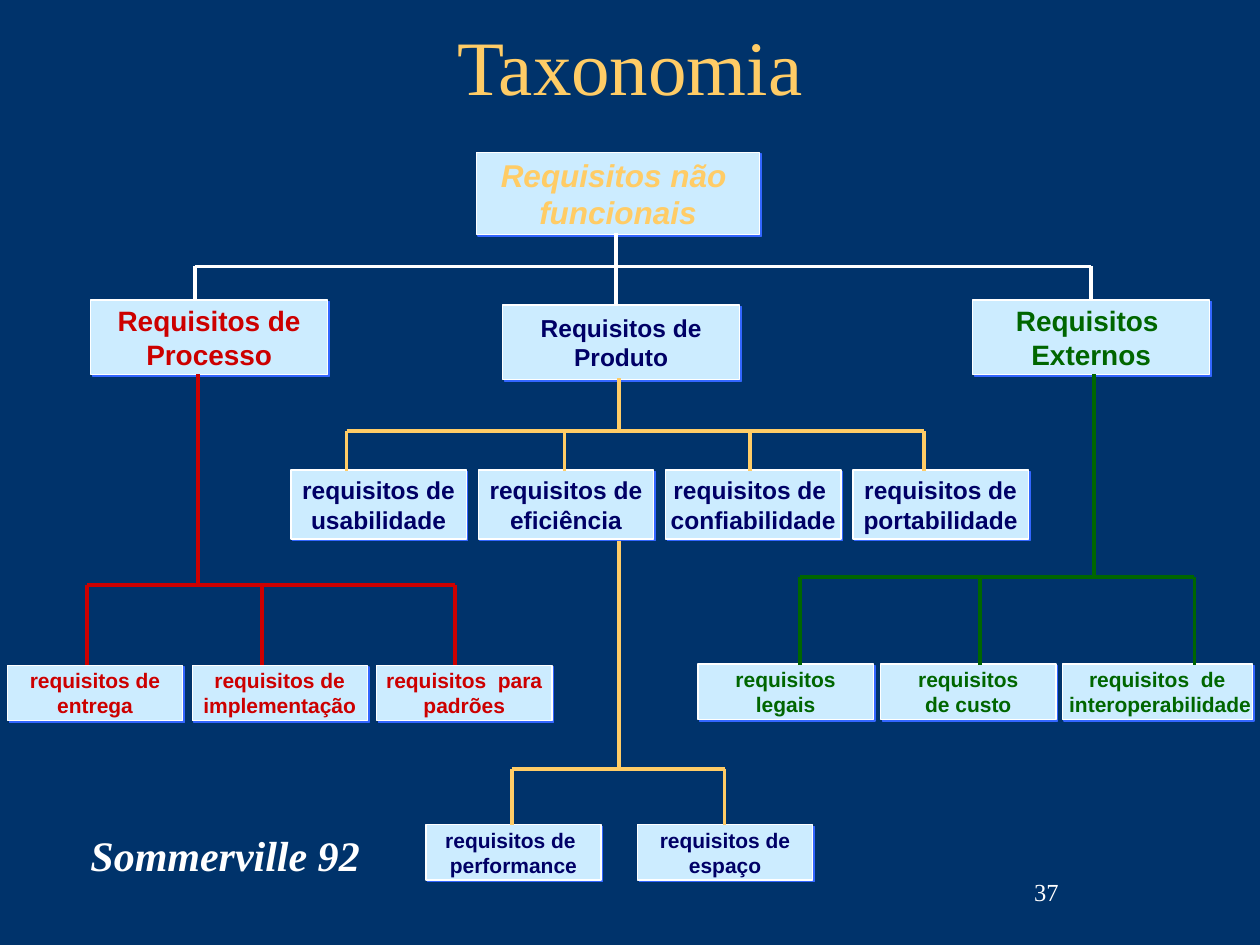
from dataclasses import dataclass

from lxml.etree import SubElement
from pptx import Presentation
from pptx.dml.color import RGBColor
from pptx.enum.shapes import MSO_CONNECTOR, MSO_SHAPE
from pptx.enum.text import MSO_ANCHOR, MSO_AUTO_SIZE, PP_ALIGN
from pptx.oxml.ns import qn
from pptx.util import Inches, Pt

# All positions and sizes are percentages of the slide's width or height
WIDTH, HEIGHT = 10, 7.5
NAVY, WHITE, GOLD = "00336B", "FFFFFF", "FFCC66"
RED, INK, GREEN = "CC0000", "000066", "006600"
BOX_FILL, BOX_SHADOW = "CCECFF", "3366FF"


@dataclass
class BoxRow:
    """Equal boxes, one for each label, placed at a constant pitch."""
    left: float
    top: float
    width: float
    height: float
    size: int
    color: str
    labels: list[str]
    pitch: float = 0
    italic: bool = False


@dataclass
class Branch:
    """A trunk, a horizontal bar and the drops to the child boxes."""
    color: str
    trunk: float
    top: float
    bar: float
    bottom: float
    drops: list[float]
    trunk_end: float | None = None


LEAF = {"width": 13.9, "height": 5.87, "size": 12}
ROWS = [
    BoxRow(37.8, 16.13, 22.5, 8.67, 18, GOLD, ["Requisitos não \nfuncionais"], italic=True),
    BoxRow(7.2, 31.73, 18.8, 7.87, 16, RED, ["Requisitos de\nProcesso"]),
    BoxRow(39.9, 32.27, 18.8, 7.87, 14, INK, ["Requisitos de\nProduto"]),
    BoxRow(77.2, 31.73, 18.8, 7.87, 16, GREEN, ["Requisitos \nExternos"]),
    BoxRow(23.1, 49.73, 13.9, 7.33, 14, INK, pitch=14.87, labels=[
        "requisitos de\nusabilidade", "requisitos de\neficiência",
        "requisitos de \nconfiabilidade", "requisitos de\nportabilidade"]),
    BoxRow(0.6, 70.4, color=RED, pitch=14.65, **LEAF, labels=[
        "requisitos de\nentrega", "requisitos de\nimplementação",
        "requisitos  para\npadrões"]),
    BoxRow(55.4, 70.27, color=GREEN, pitch=14.5, **LEAF, labels=[
        "requisitos\nlegais", "requisitos\nde custo"]),
    BoxRow(84.3, 70.27, 15.1, 5.87, 12, GREEN, ["requisitos  de\n interoperabilidade"]),
    BoxRow(33.8, 87.27, color=INK, pitch=16.8, **LEAF, labels=[
        "requisitos de \nperformance", "requisitos de\nespaço"]),
]
BRANCHES = [
    Branch(WHITE, 48.9, 24.67, 28.2, 31.73, [15.5, 86.6], trunk_end=32.27),
    Branch(GOLD, 49.1, 57.2, 81.33, 87.27, [40.6, 57.5]),
    Branch(GOLD, 49.1, 40, 45.6, 49.8, [27.5, 44.8, 59.5, 73.3]),
    Branch(RED, 15.7, 39.6, 61.87, 70.4, [6.9, 20.8, 36.1]),
    Branch(GREEN, 86.8, 39.6, 61.07, 70.4, [63.5, 77.8, 94.8]),
]


def across(share: float) -> int:
    return Inches(WIDTH * share / 100)


def down(share: float) -> int:
    return Inches(HEIGHT * share / 100)


def rgb(color: str) -> RGBColor:
    return RGBColor.from_string(color)


def area(left: float, top: float, width: float, height: float) -> tuple:
    return across(left), down(top), across(width), down(height)


def write(shape, text: str, color: str, align=PP_ALIGN.CENTER,
          anchor=MSO_ANCHOR.MIDDLE, wrap: bool = True, **font_format) -> None:
    frame = shape.text_frame
    frame.text = text
    frame.auto_size = MSO_AUTO_SIZE.NONE
    frame.word_wrap = wrap
    frame.vertical_anchor = anchor
    for paragraph in frame.paragraphs:
        paragraph.alignment = align
        for name, value in font_format.items():
            setattr(paragraph.font, name, value)
        paragraph.font.color.rgb = rgb(color)


def add_hard_shadow(shape) -> None:
    shape.shadow.inherit = False
    effects = shape._element.spPr.find(qn("a:effectLst"))
    shadow = SubElement(effects, qn("a:outerShdw"), blurRad="0",
                        dist=str(Pt(1.4)), dir="2700000", algn="ctr", rotWithShape="0")
    SubElement(shadow, qn("a:srgbClr"), val=BOX_SHADOW)


def draw_row(slide, row: BoxRow) -> None:
    for index, label in enumerate(row.labels):
        box = slide.shapes.add_shape(
            MSO_SHAPE.RECTANGLE,
            *area(row.left + index * row.pitch, row.top, row.width, row.height))
        box.fill.solid()
        box.fill.fore_color.rgb = rgb(BOX_FILL)
        box.line.color.rgb = rgb(WHITE)
        box.line.width = Pt(0.75)
        add_hard_shadow(box)
        write(box, label, row.color, wrap=False, name="Arial",
              size=Pt(row.size), bold=True, italic=row.italic)


def draw_branch(slide, branch: Branch) -> None:
    group = slide.shapes.add_group_shape()
    trunk_end = branch.trunk_end or branch.bar
    segments = [(branch.trunk, branch.top, branch.trunk, trunk_end),
                (min(branch.drops), branch.bar, max(branch.drops), branch.bar)]
    segments += [(drop, branch.bar, drop, branch.bottom) for drop in branch.drops]
    for start_x, start_y, end_x, end_y in segments:
        line = group.shapes.add_connector(
            MSO_CONNECTOR.STRAIGHT, across(start_x), down(start_y), across(end_x), down(end_y))
        line.line.color.rgb = rgb(branch.color)
        line.line.width = Pt(2.25)
        SubElement(line._element.spPr, qn("a:effectLst"))


def main() -> None:
    presentation = Presentation()
    presentation.slide_width, presentation.slide_height = Inches(WIDTH), Inches(HEIGHT)
    slide = presentation.slides.add_slide(presentation.slide_layouts[5])
    slide.background.fill.solid()
    slide.background.fill.fore_color.rgb = rgb(NAVY)

    # Title
    title = slide.shapes.title
    title.left, title.top, title.width, title.height = area(7.5, -1.47, 85, 16.67)
    write(title, "Taxonomia", GOLD, name="Times New Roman", size=Pt(44))

    # Tree
    for row in ROWS:
        draw_row(slide, row)
    for branch in BRANCHES:
        draw_branch(slide, branch)

    # Source and slide number
    source = slide.shapes.add_textbox(*area(6.2, 87.07, 23.4, 6.67))
    write(source, "Sommerville 92", WHITE, align=PP_ALIGN.LEFT, anchor=MSO_ANCHOR.TOP,
          wrap=False, name="Times New Roman", size=Pt(24), bold=True, italic=True)
    number = slide.shapes.add_textbox(*area(64.2, 91.07, 20.8, 6.67))
    write(number, "37", WHITE, align=PP_ALIGN.RIGHT, name="Times New Roman", size=Pt(14))

    presentation.save("out.pptx")


if __name__ == "__main__":
    main()
